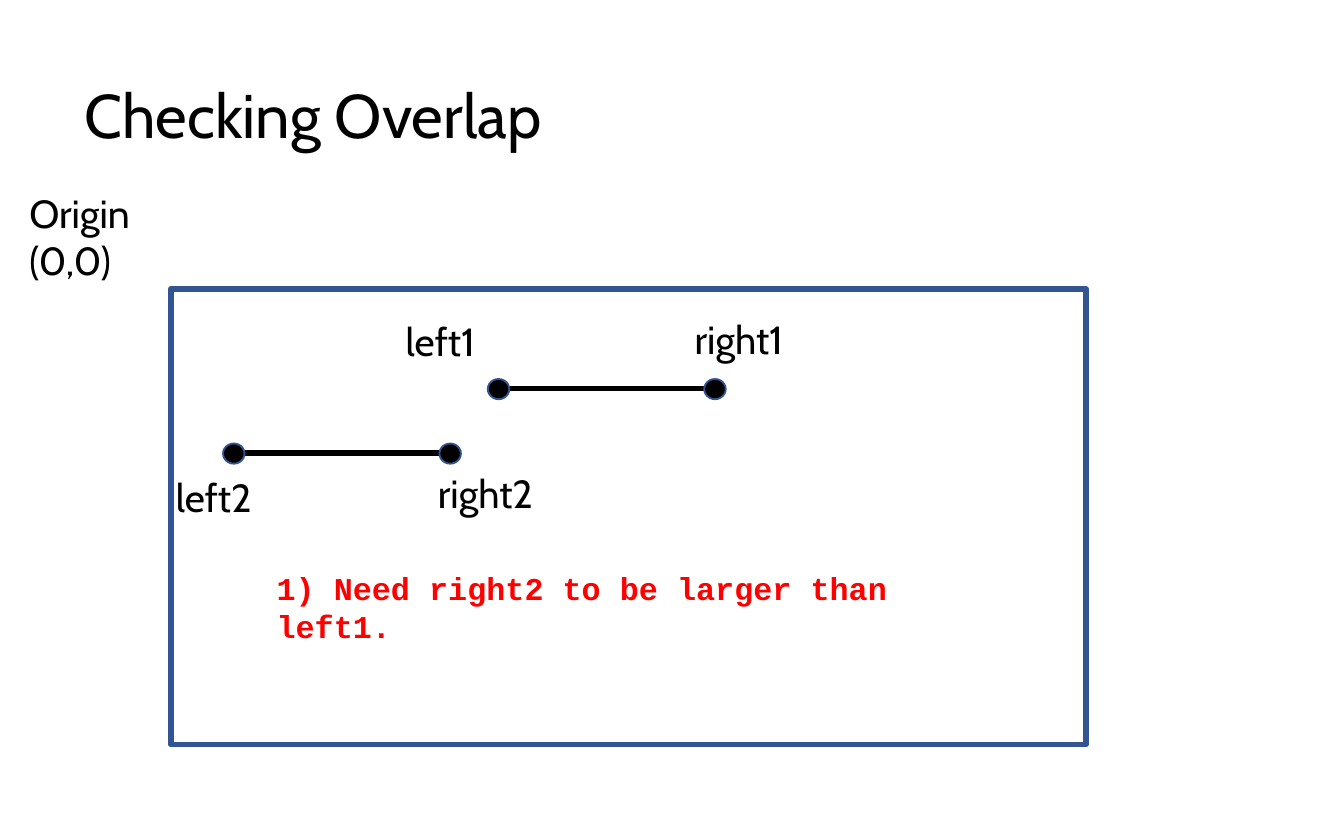
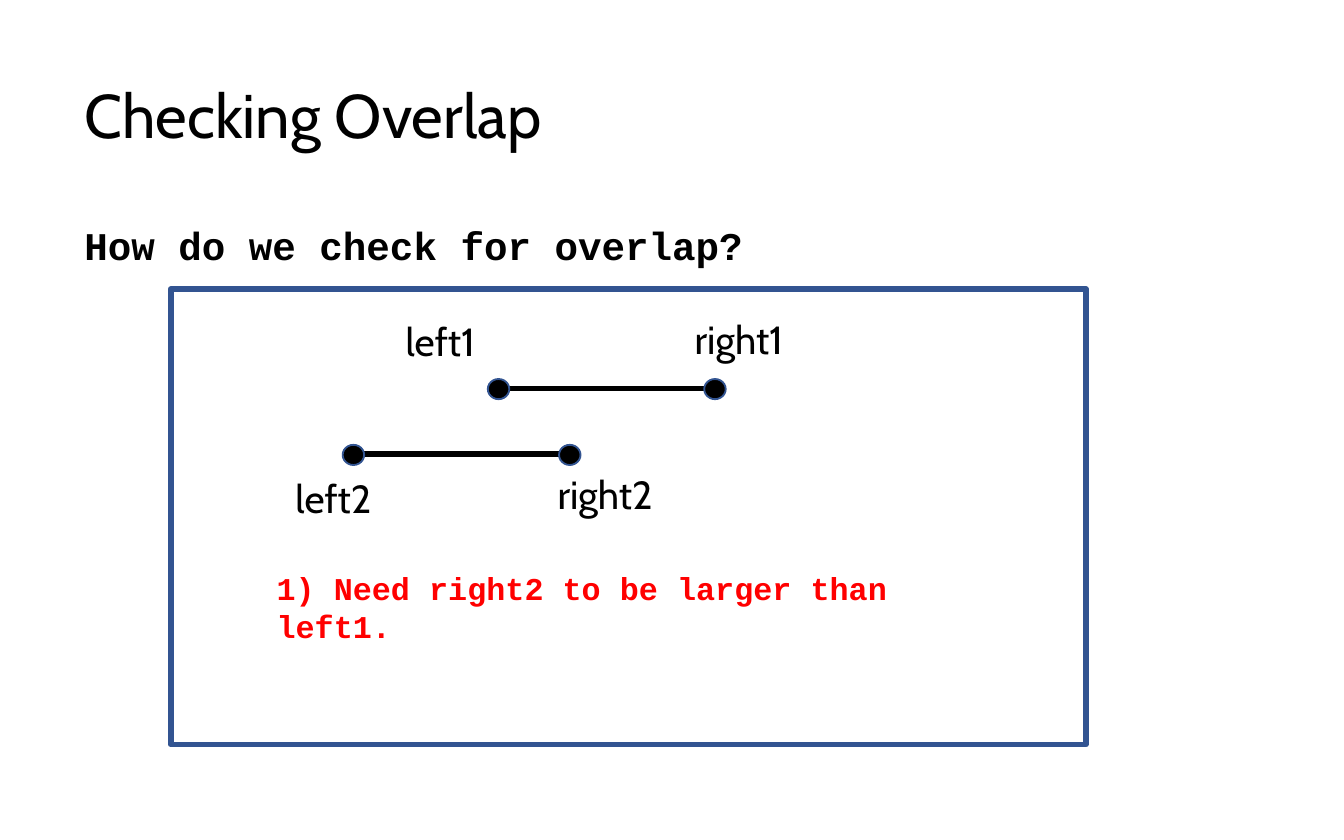
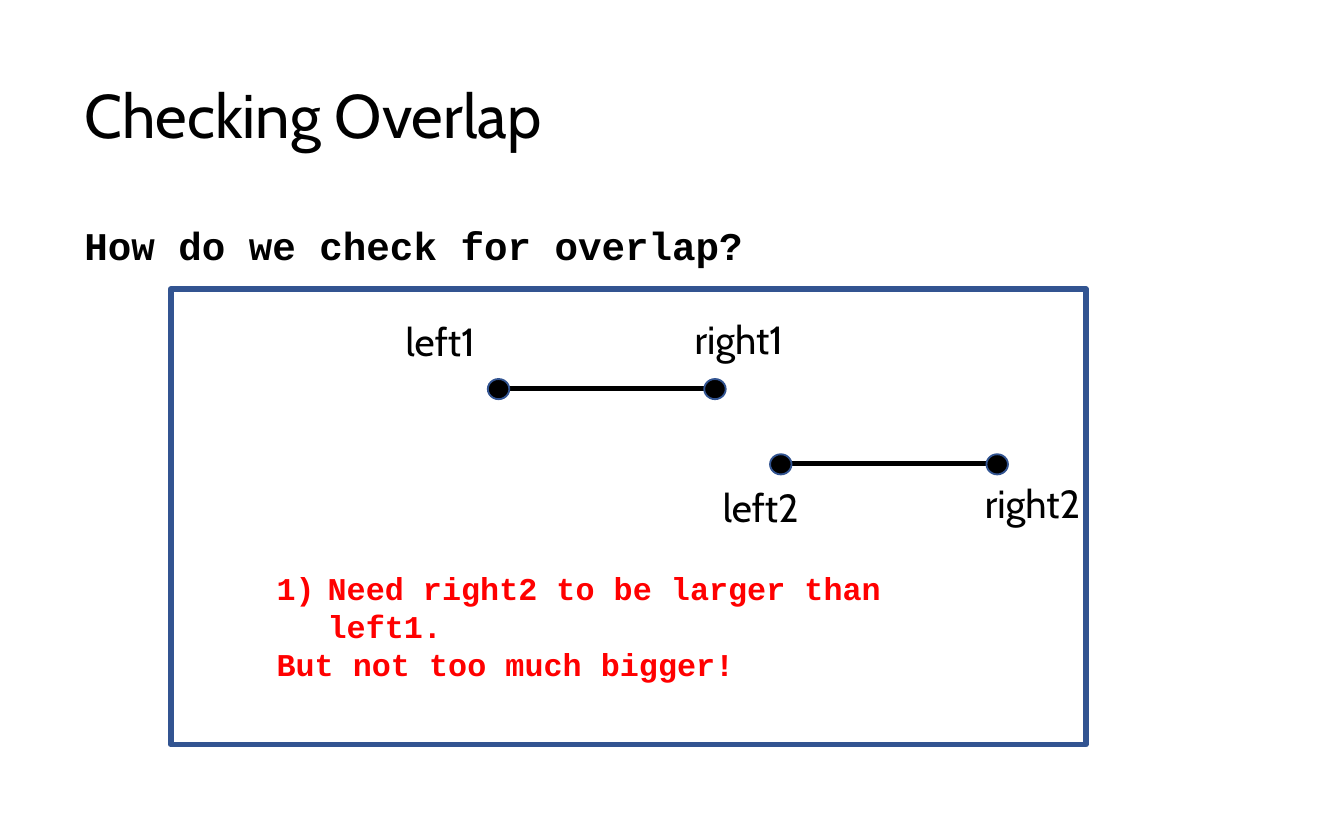
from dataclasses import dataclass

from lxml import etree
from pptx import Presentation
from pptx.dml.color import RGBColor
from pptx.enum.shapes import MSO_CONNECTOR, MSO_SHAPE
from pptx.enum.text import MSO_ANCHOR, MSO_AUTO_SIZE
from pptx.oxml.ns import qn
from pptx.util import Inches, Pt

STRAIGHT = MSO_CONNECTOR.STRAIGHT
RECTANGLE = MSO_SHAPE.RECTANGLE
OVAL = MSO_SHAPE.OVAL
MIDDLE = MSO_ANCHOR.MIDDLE
GROW = MSO_AUTO_SIZE.SHAPE_TO_FIT_TEXT


@dataclass(frozen=True)
class Theme:
    black: RGBColor = RGBColor(0x00, 0x00, 0x00)
    blue: RGBColor = RGBColor(0x32, 0x54, 0x91)
    red: RGBColor = RGBColor(0xFF, 0x00, 0x00)
    sans: str = "Cabin"
    mono: str = "Courier New"
    title: int = 33
    label: int = 21
    rule: int = 17
    thick: int = 3
    thin: int = 1


theme = Theme()


def add_text(shapes, place, lines, size, font=theme.sans, color=theme.black):
    box = shapes.add_textbox(*map(Inches, place))
    frame = box.text_frame
    frame.word_wrap = True
    frame.auto_size = GROW
    frame.text = "\n".join(lines)
    for para in frame.paragraphs:
        para.font.name = font
        para.font.size = Pt(size)
        para.font.bold = font == theme.mono
        para.font.color.rgb = color
    return frame


def add_segment(page, number, left, top, label_spots):
    shapes = page.shapes.add_group_shape().shapes
    line = shapes.add_connector(
        STRAIGHT, Inches(left), Inches(top), Inches(left + 1.63), Inches(top)
    )
    line.line.color.rgb = theme.black
    line.line.width = Pt(theme.thick)
    etree.SubElement(line._element.spPr, qn("a:effectLst"))
    for side, (across, down, width) in zip(("left", "right"), label_spots):
        place = (left + across, top + down, width, 0.45)
        add_text(shapes, place, [f"{side}{number}"], theme.label)
    for across in (-0.07, 1.54):
        dot = shapes.add_shape(
            OVAL, Inches(left + across), Inches(top - 0.07), Inches(0.16), Inches(0.15)
        )
        dot.shadow.inherit = False
        dot.fill.solid()
        dot.fill.fore_color.rgb = theme.black
        dot.line.color.rgb = theme.blue
        dot.line.width = Pt(theme.thin)


labels_above = [(-0.78, -0.58, 0.78), (1.37, -0.59, 1.01)]
labels_below = [(-0.52, 0.1, 1.01), (1.43, 0.07, 1.01)]
need = "Need right2 to be larger than left1."
question = "How do we check for overlap?"
steps = [
    (None, (1.73, 3.37), [f"1) {need}"]),
    (question, (2.62, 3.38), [f"1) {need}"]),
    (question, (5.8, 3.45), [need, "But not too much bigger!"]),
]

deck = Presentation()
deck.slide_width = Inches(10)
deck.slide_height = Inches(6.25)

for heading, second_start, rule_lines in steps:
    page = deck.slides.add_slide(deck.slide_layouts[6])
    title = add_text(page.shapes, (0.53, 0.51, 7.71, 0.75), ["Checking Overlap"], theme.title)
    title.vertical_anchor = MIDDLE
    title.paragraphs[0].line_spacing = 0.9

    if heading:
        body = add_text(page.shapes, (0.53, 1.64, 9.06, 0.4), [heading], theme.label, theme.mono)
        body.paragraphs[0].line_spacing = 0.9
    else:
        add_text(page.shapes, (0.12, 1.36, 1.4, 0.8), ["Origin (0,0)"], theme.label)

    window = page.shapes.add_shape(
        RECTANGLE, Inches(1.27), Inches(2.15), Inches(6.81), Inches(3.39)
    )
    window.shadow.inherit = False
    window.fill.background()
    window.line.color.rgb = theme.blue
    window.line.width = Pt(theme.thick)

    add_segment(page, 1, 3.7, 2.89, labels_above)
    add_segment(page, 2, *second_start, labels_below)

    rule = add_text(
        page.shapes, (1.96, 4.18, 5.1, 0.67), rule_lines, theme.rule, theme.mono, theme.red
    )
    if len(rule_lines) > 1:
        properties = rule.paragraphs[0]._p.get_or_add_pPr()
        properties.set("marL", str(Inches(0.38)))
        properties.set("indent", str(Inches(-0.38)))
        numbering = etree.Element(qn("a:buAutoNum"), type="arabicParenR")
        properties.insert(0, numbering)

deck.save("out.pptx")
